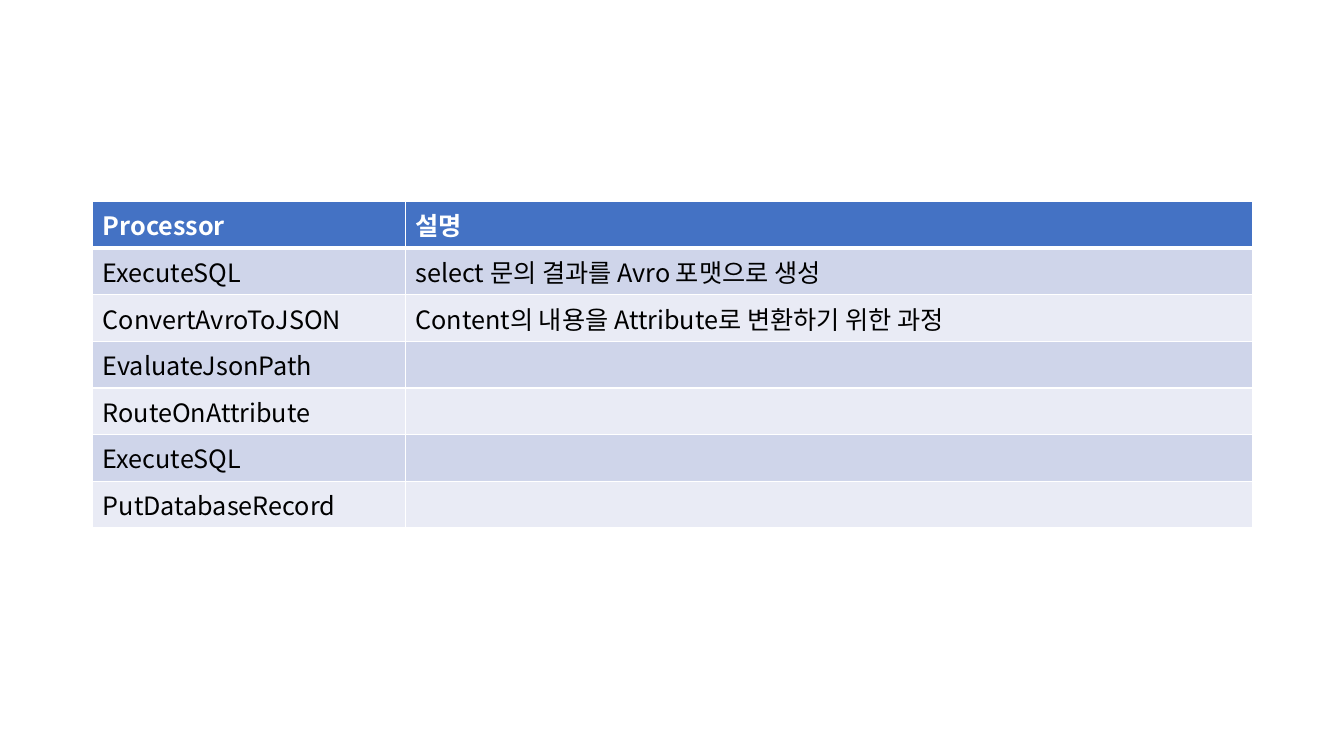
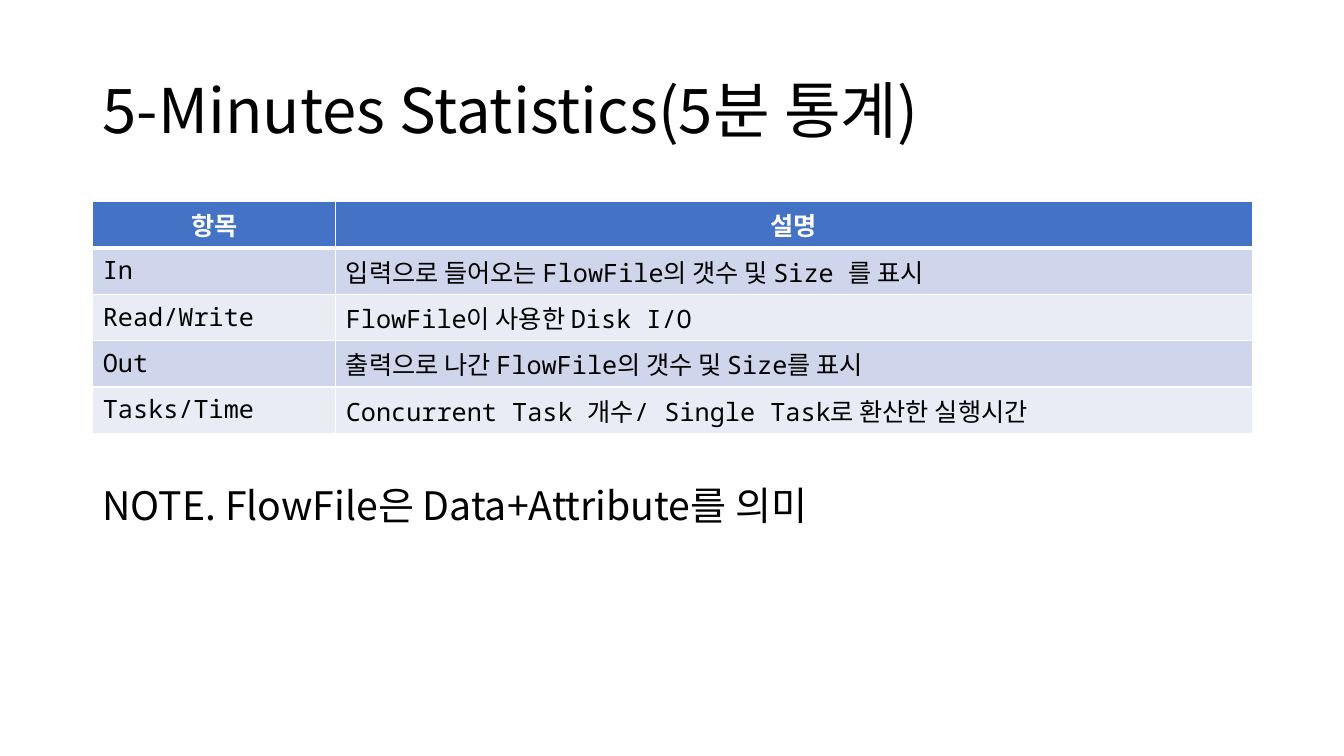
from lxml.etree import SubElement
from pptx import Presentation
from pptx.dml.color import RGBColor
from pptx.enum.text import MSO_ANCHOR, PP_ALIGN
from pptx.oxml.ns import qn
from pptx.util import Inches, Pt


def color(value):
    return RGBColor.from_string(value)


def write_text(frame, text, size=18, font="Noto Sans CJK KR", fill="000000",
               bold=False, align=PP_ALIGN.LEFT, line_spacing=None):
    paragraph = frame.paragraphs[0]
    paragraph.alignment = align
    paragraph.line_spacing = line_spacing
    run = paragraph.add_run()
    run.text = text
    run.font.size = Pt(size)
    run.font.name = font
    run.font.bold = bold
    run.font.color.rgb = color(fill)
    east_asian = SubElement(run.font._element, qn("a:ea"))
    east_asian.set("typeface", Deck.SANS)


def add_border(cell, side, width):
    line = SubElement(cell._tc.get_or_add_tcPr(), qn(f"a:ln{side}"), w=str(Pt(width)))
    fill = SubElement(line, qn("a:solidFill"))
    SubElement(fill, qn("a:srgbClr"), val=Deck.WHITE)


class Deck:
    SANS = "Noto Sans CJK KR"
    MONO = "Noto Sans Mono"
    WHITE = "FFFFFF"
    BLACK = "000000"
    HEADER = "4472C4"
    BANDS = ("E9EBF5", "CFD5EA")
    LEFT = 0.92
    WIDTH = 11.5
    TABLE_TOP = 2
    ROW_HEIGHT = 0.46

    def __init__(self):
        self.presentation = Presentation()
        self.presentation.slide_width = Inches(13.33)
        self.presentation.slide_height = Inches(7.5)
        self.slide = None

    def add_slide(self):
        layout = self.presentation.slide_layouts[6]
        self.slide = self.presentation.slides.add_slide(layout)

    def add_text(self, text, top, height, size, anchor=MSO_ANCHOR.TOP):
        box = self.slide.shapes.add_textbox(
            Inches(self.LEFT), Inches(top), Inches(self.WIDTH), Inches(height))
        frame = box.text_frame
        frame.word_wrap = True
        frame.vertical_anchor = anchor
        write_text(frame, text, size=size, line_spacing=0.9)

    def add_title(self, text):
        self.add_text(text, 0.4, 1.45, 44, MSO_ANCHOR.MIDDLE)

    def add_table(self, rows, first_width, font=SANS, header_align=PP_ALIGN.LEFT):
        table = self.slide.shapes.add_table(
            len(rows), 2, Inches(self.LEFT), Inches(self.TABLE_TOP),
            Inches(self.WIDTH), Inches(self.ROW_HEIGHT * len(rows))).table
        table.columns[0].width = Inches(first_width)
        table.columns[1].width = Inches(self.WIDTH - first_width)
        for index, values in enumerate(rows):
            table.rows[index].height = Inches(self.ROW_HEIGHT)
            for column, text in enumerate(values):
                self.fill_cell(table.cell(index, column), text, index, font, header_align)

    def fill_cell(self, cell, text, row, font, header_align):
        header = row == 0
        widths = {"L": 1, "R": 1, "T": 3 if row == 1 else 1, "B": 3 if header else 1}
        for side, width in widths.items():
            add_border(cell, side, width)
        cell.fill.solid()
        cell.fill.fore_color.rgb = color(self.HEADER if header else self.BANDS[row % 2])
        if text:
            write_text(cell.text_frame, text, font=font, bold=header,
                       fill=self.WHITE if header else self.BLACK,
                       align=header_align if header else PP_ALIGN.LEFT)


def main():
    deck = Deck()

    deck.add_slide()
    deck.add_table([
        ("Processor", "설명"),
        ("ExecuteSQL", "select 문의 결과를 Avro 포맷으로 생성"),
        ("ConvertAvroToJSON", "Content의 내용을 Attribute로 변환하기 위한 과정"),
        ("EvaluateJsonPath", ""),
        ("RouteOnAttribute", ""),
        ("ExecuteSQL", ""),
        ("PutDatabaseRecord", ""),
    ], first_width=3.1)

    deck.add_slide()
    deck.add_title("5-Minutes Statistics(5분 통계)")
    deck.add_table([
        ("항목", "설명"),
        ("In", "입력으로 들어오는 FlowFile의 갯수 및 Size 를 표시"),
        ("Read/Write", "FlowFile이 사용한 Disk I/O"),
        ("Out", "출력으로 나간 FlowFile의 갯수 및 Size를 표시"),
        ("Tasks/Time", "Concurrent Task 개수/ Single Task로 환산한 실행시간"),
    ], first_width=2.41, font=Deck.MONO, header_align=PP_ALIGN.CENTER)
    deck.add_text("NOTE. FlowFile은 Data+Attribute를 의미", 4.78, 0.6, 28)

    deck.presentation.save("out.pptx")


if __name__ == "__main__":
    main()
